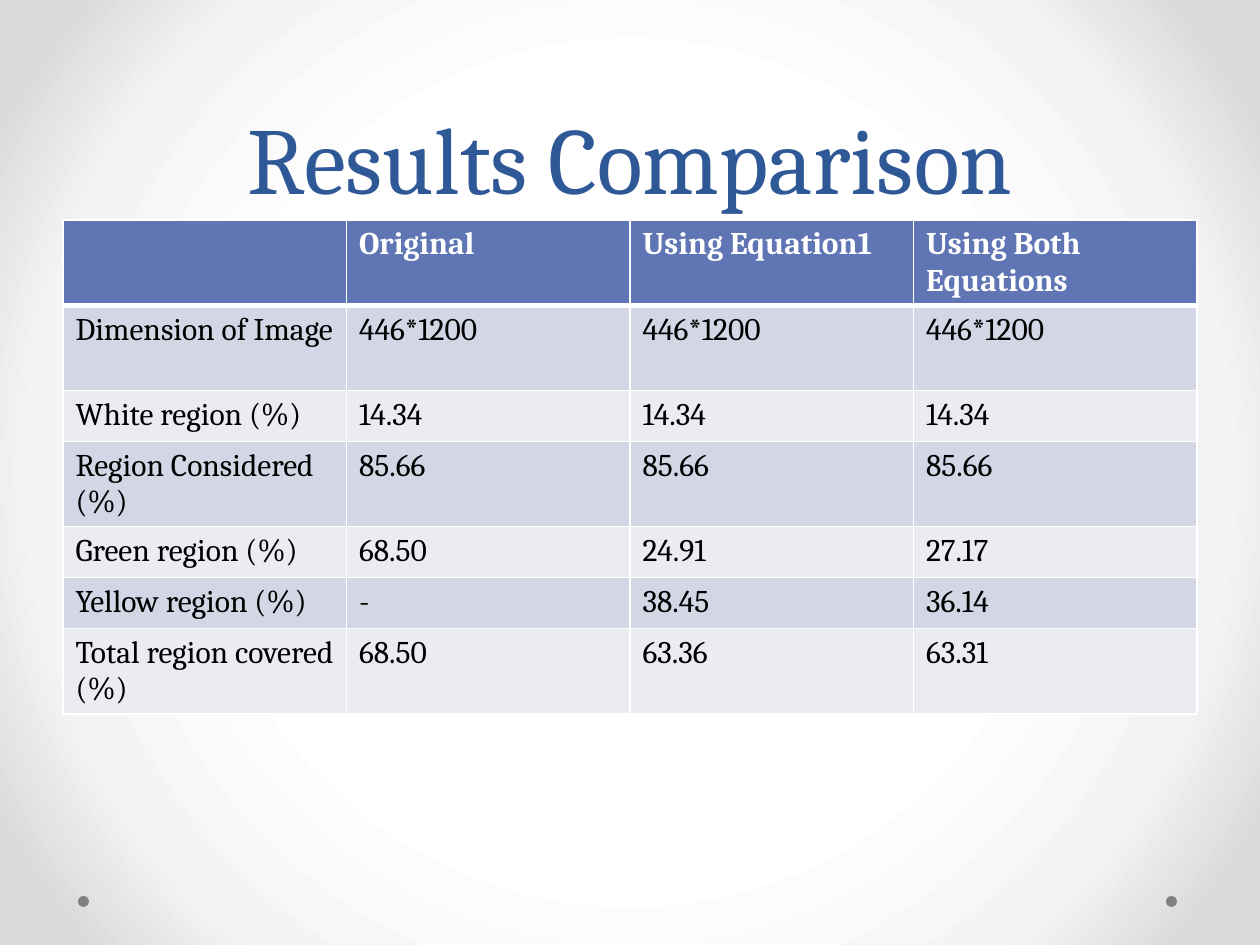
from lxml import etree
from pptx import Presentation
from pptx import util as u
from pptx.dml.color import RGBColor
from pptx.enum import shapes, text
from pptx.oxml import ns, parse_xml

PX = 914400 / 126
FONT = "Cambria"
COLORS = {
    "title": "2F5897", "header": "6076B4", "odd": "D2D6E5", "even": "EAECF2",
    "white": "FFFFFF", "black": "000000", "dot": "808080",
    "mist": "F4F4F4", "edge": "DADADA",
}


def px(length):
    return u.Emu(round(length * PX))


def color(name):
    return RGBColor.from_string(COLORS[name])


class SlideBuilder:
    def __init__(self, presentation):
        self.slide = presentation.slides.add_slide(presentation.slide_layouts[5])

    def background(self, stops):
        self.slide.background.fill.solid()
        properties = self.slide.background._cSld.bg.bgPr
        stop_xml = "".join(
            f'<a:gs pos="{percent * 1000}"><a:srgbClr val="{COLORS[name]}"/></a:gs>'
            for percent, name in stops)
        properties.replace(properties[0], parse_xml(
            f'<a:gradFill {ns.nsdecls("a")} rotWithShape="1"><a:gsLst>{stop_xml}</a:gsLst>'
            '<a:path path="circle"><a:fillToRect l="50000" t="50000" r="50000" b="50000"/>'
            '</a:path></a:gradFill>'))

    def run(self, paragraph, words, size, name, bold=False):
        run = paragraph.add_run()
        run.text = words
        font = run.font
        font.name, font.size, font.bold = FONT, u.Pt(size), bold
        font.color.rgb = color(name)

    def title(self, words, left, top, width, height):
        shape = self.slide.shapes.title
        shape.left, shape.top, shape.width, shape.height = map(px, (left, top, width, height))
        frame = shape.text_frame
        frame.word_wrap = True
        frame.auto_size = text.MSO_AUTO_SIZE.NONE
        frame.vertical_anchor = text.MSO_ANCHOR.BOTTOM
        paragraph = frame.paragraphs[0]
        paragraph.alignment = text.PP_ALIGN.CENTER
        paragraph.line_spacing = u.Pt(58)
        self.run(paragraph, words, 54, "title")

    def dot(self, left, top, size):
        shape = self.slide.shapes.add_shape(
            shapes.MSO_SHAPE.OVAL, px(left), px(top), px(size), px(size))
        shape.shadow.inherit = False
        shape.fill.solid()
        shape.fill.fore_color.rgb = color("dot")
        shape.line.fill.background()

    def borders(self, cell, top, bottom):
        properties = cell._tc.get_or_add_tcPr()
        widths = {"lnL": 1, "lnR": 1, "lnT": top, "lnB": bottom}
        for index, (side, points) in enumerate(widths.items()):
            line = etree.Element(ns.qn(f"a:{side}"), w=str(u.Pt(points)))
            fill = etree.SubElement(line, ns.qn("a:solidFill"))
            etree.SubElement(fill, ns.qn("a:srgbClr"), val=COLORS["white"])
            properties.insert(index, line)

    def table(self, rows, heights, left, top, width):
        columns = len(rows[0])
        table = self.slide.shapes.add_table(
            len(rows), columns, px(left), px(top), px(width), px(sum(heights))).table
        for column in table.columns:
            column.width = px(width / columns)
        for number, (values, height) in enumerate(zip(rows, heights)):
            table.rows[number].height = px(height)
            header = number == 0
            fill = "header" if header else "odd" if number % 2 else "even"
            for cell, value in zip(table.rows[number].cells, values):
                cell.fill.solid()
                cell.fill.fore_color.rgb = color(fill)
                self.borders(cell, 3 if number == 1 else 1, 3 if header else 1)
                paragraph = cell.text_frame.paragraphs[0]
                paragraph.font.size = u.Pt(18)
                if value:
                    self.run(paragraph, value, 18, "white" if header else "black", header)


def main():
    presentation = Presentation()
    presentation.slide_width, presentation.slide_height = px(1260), px(945)
    builder = SlideBuilder(presentation)

    # Background and footer dots
    builder.background([(50, "white"), (76, "mist"), (92, "edge")])
    for left in (1166, 78):
        builder.dot(left, 896, 11)

    # Title
    builder.title("Results Comparison", 63, 0, 1134, 220)

    # Results table: rows are one or two text lines high
    one_line, two_lines = 51, 85
    rows = [
        ("", "Original", "Using Equation1", "Using Both Equations"),
        ("Dimension of Image", "446*1200", "446*1200", "446*1200"),
        ("White region (%)", "14.34", "14.34", "14.34"),
        ("Region Considered (%)", "85.66", "85.66", "85.66"),
        ("Green region (%)", "68.50", "24.91", "27.17"),
        ("Yellow region (%)", "-", "38.45", "36.14"),
        ("Total region covered (%)", "68.50", "63.36", "63.31"),
    ]
    heights = [two_lines, two_lines, one_line, two_lines, one_line, one_line, two_lines]
    builder.table(rows, heights, 63, 220, 1134)

    presentation.save("out.pptx")


if __name__ == "__main__":
    main()
